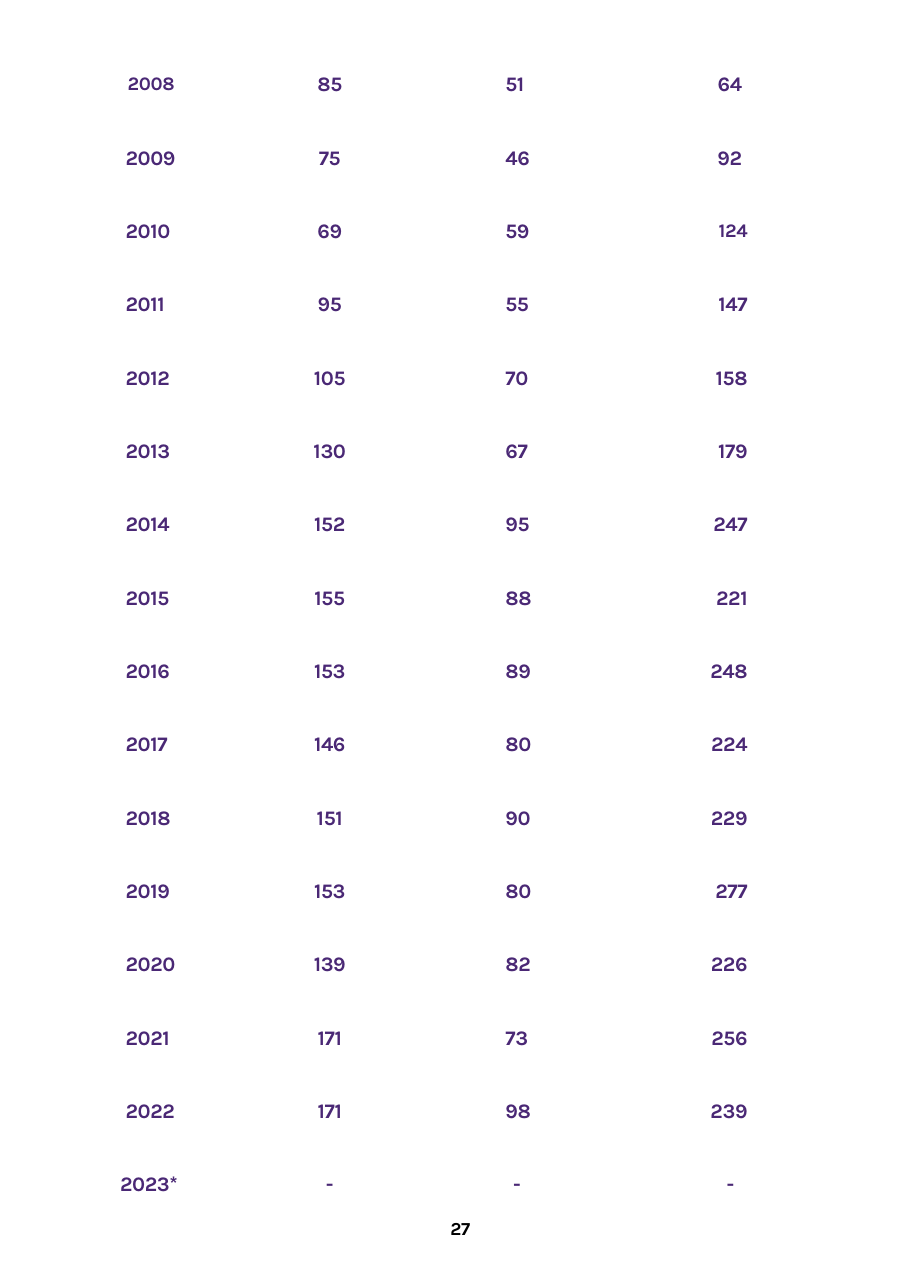
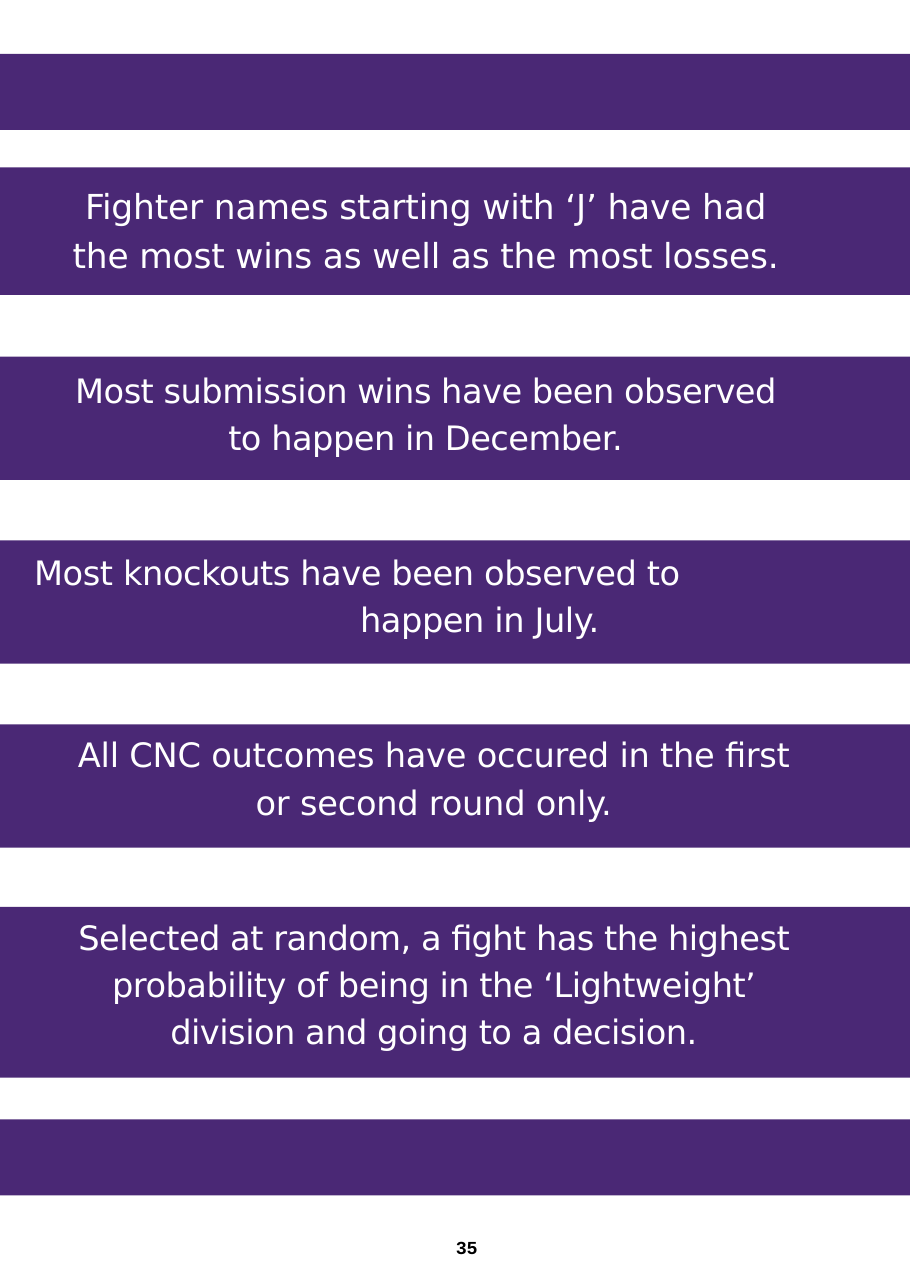
from dataclasses import dataclass
from typing import Any

from pptx import Presentation
from pptx.dml.color import RGBColor
from pptx.enum.shapes import MSO_SHAPE
from pptx.enum.text import MSO_ANCHOR, MSO_AUTO_SIZE, PP_ALIGN
from pptx.oxml.ns import qn
from pptx.util import Inches, Pt

RECTANGLE = MSO_SHAPE.RECTANGLE
TOP = MSO_ANCHOR.TOP
NO_AUTO_SIZE = MSO_AUTO_SIZE.NONE
LEFT, CENTER, RIGHT = PP_ALIGN.LEFT, PP_ALIGN.CENTER, PP_ALIGN.RIGHT

PURPLE = RGBColor(0x4A, 0x28, 0x75)
WHITE = RGBColor(0xFF, 0xFF, 0xFF)
BLACK = RGBColor(0x00, 0x00, 0x00)

PAGE_FORMAT = {"slide_width": Pt(595), "slide_height": Pt(842.5)}
CONTENT_LAYOUT, BLANK_LAYOUT = 1, 6
TABLE_FONT, STATEMENT_FONT, NUMBER_FONT = "Karla", "DejaVu Sans", "Courier New"

FRAME_FORMAT = {
    "margin_left": 0, "margin_right": 0, "margin_top": 0, "margin_bottom": 0,
    "vertical_anchor": TOP, "word_wrap": True, "auto_size": NO_AUTO_SIZE,
}


@dataclass(frozen=True)
class TextStyle:
    font: str
    size: float
    color: RGBColor
    bold: bool = False
    spacing: float = -0.2


@dataclass(frozen=True)
class Column:
    width: float
    align: PP_ALIGN = LEFT
    left_indent: float = 0
    right_indent: float = 0


@dataclass(frozen=True)
class Band:
    top: float
    height: float


@dataclass(frozen=True)
class Statement:
    text: str
    left_indent: float
    right_indent: float
    spacing: float
    align: PP_ALIGN = CENTER
    first_line: float = 0
    size: float = 22


VALUE_STYLE = TextStyle(TABLE_FONT, 13.5, PURPLE, bold=True)
SMALL_VALUE_STYLE = TextStyle(TABLE_FONT, 12.5, PURPLE, bold=True)
TABLE_NUMBER_STYLE = TextStyle(TABLE_FONT, 12, BLACK, bold=True)
PAGE_NUMBER_STYLE = TextStyle(NUMBER_FONT, 12, BLACK, bold=True)

TABLE_LEFT, TABLE_TOP, TABLE_HEIGHT = 1.06, 0.66, 10.68
FIRST_ROW_HEIGHT, LAST_ROW_HEIGHT = 0.46, 0.89
CELL_TOP_MARGIN = 0.21
COLUMNS = [
    Column(1.17, left_indent=0.08),
    Column(1.4, CENTER, left_indent=0.13),
    Column(0.81, left_indent=0.46),
    Column(1.19, left_indent=0.15),
    Column(1.19, RIGHT, right_indent=0.03),
]
YEAR_ROWS = [
    ("2008", "85", "", "51", "64"),
    ("2009", "75", "", "46", "92"),
    ("2010", "69", "", "59", "124"),
    ("2011", "95", "", "55", "147"),
    ("2012", "105", "", "70", "158"),
    ("2013", "130", "", "67", "179"),
    ("2014", "152", "", "95", "247"),
    ("2015", "155", "", "88", "221"),
    ("2016", "153", "", "89", "248"),
    ("2017", "146", "", "80", "224"),
    ("2018", "151", "", "90", "229"),
    ("2019", "153", "", "80", "277"),
    ("2020", "139", "", "82", "226"),
    ("2021", "171", "", "73", "256"),
    ("2022", "171", "", "98", "239"),
    ("2023*", "-", "27", "-", "-"),
]
PAGE_NUMBER_CELL = (15, 2)
CELL_STYLES = {(0, 0): SMALL_VALUE_STYLE, (2, 4): SMALL_VALUE_STYLE,
               PAGE_NUMBER_CELL: TABLE_NUMBER_STYLE}
TOP_MARGINS = {PAGE_NUMBER_CELL: 0.63}
LEFT_INDENTS = {(0, 0): 0.1, (15, 0): 0.03, (15, 3): 0.22}
RIGHT_INDENTS = {(0, 4): 0.08, (1, 4): 0.08, (15, 4): 0.15}

BAND_WIDTH = 8.27
BANDS = [
    Band(0.49, 0.69),
    Band(1.52, 1.16),
    Band(3.24, 1.12),
    Band(4.91, 1.12),
    Band(6.58, 1.12),
    Band(8.24, 1.55),
    Band(10.17, 0.69),
]
STATEMENT_GAP = 57.5
STATEMENTS = [
    Statement("Fighter names starting with ‘J’ have had the most wins as well "
              "as the most losses.", 0.21, 0.22, -0.15, size=22.5),
    Statement("Most submission wins have been observed to happen in December.",
              0.24, 0.25, -0.3),
    Statement("Most knockouts have been observed to happen in July.",
              2.97, 1.0, -0.25, LEFT, first_line=-2.96),
    Statement("All CNC outcomes have occured in the first or second round only.",
              0.28, 0.14, -0.15),
    Statement("Selected at random, a fight has the highest probability of being "
              "in the ‘Lightweight’ division and going to a decision.",
              0.15, 0.01, -0.3),
]


def apply_format(target: Any, values: dict[str, Any]) -> None:
    for name, value in values.items():
        setattr(target, name, value)


def set_indents(paragraph: Any, left: float, right: float, first_line: float = 0) -> None:
    properties = paragraph._p.get_or_add_pPr()
    for name, length in (("marL", left), ("marR", right), ("indent", first_line)):
        properties.set(name, str(int(Inches(length))))


def remove_bullet(paragraph: Any) -> None:
    properties = paragraph._p.get_or_add_pPr()
    properties.append(properties.makeelement(qn("a:buNone"), {}))


def add_text(paragraph: Any, text: str, style: TextStyle) -> None:
    run = paragraph.add_run()
    run.text = text
    apply_format(run.font, {"name": style.font, "size": Pt(style.size), "bold": style.bold})
    run.font.color.rgb = style.color
    run.font._element.set("spc", str(round(style.spacing * 100)))


def add_page_number(slide: Any, number: str) -> None:
    box = slide.shapes.add_textbox(Inches(4.02), Inches(11.01), Inches(0.37), Inches(0.45))
    apply_format(box.text_frame, FRAME_FORMAT | {"margin_top": Inches(0.22)})
    paragraph = box.text_frame.paragraphs[0]
    set_indents(paragraph, 0.12, 0)
    add_text(paragraph, number, PAGE_NUMBER_STYLE)


def fill_cell(cell: Any, text: str, position: tuple[int, int]) -> None:
    row, column_index = position
    column = COLUMNS[column_index]
    top_margin = TOP_MARGINS.get(position, CELL_TOP_MARGIN if row else 0)
    cell.fill.background()
    apply_format(cell, {
        "margin_left": 0, "margin_right": 0, "margin_bottom": 0,
        "margin_top": Inches(top_margin), "vertical_anchor": TOP,
    })
    if not text:
        return
    paragraph = cell.text_frame.paragraphs[0]
    paragraph.alignment = column.align
    set_indents(paragraph, LEFT_INDENTS.get(position, column.left_indent),
                RIGHT_INDENTS.get(position, column.right_indent))
    add_text(paragraph, text, CELL_STYLES.get(position, VALUE_STYLE))


def add_year_table(slide: Any) -> None:
    inner_count = len(YEAR_ROWS) - 2
    inner_height = (TABLE_HEIGHT - FIRST_ROW_HEIGHT - LAST_ROW_HEIGHT) / inner_count
    row_heights = [FIRST_ROW_HEIGHT] + [inner_height] * inner_count + [LAST_ROW_HEIGHT]
    table = slide.shapes.add_table(
        len(YEAR_ROWS), len(COLUMNS), Inches(TABLE_LEFT), Inches(TABLE_TOP),
        Inches(sum(column.width for column in COLUMNS)), Inches(TABLE_HEIGHT),
    ).table
    apply_format(table, {"first_row": False, "horz_banding": False})
    for table_column, column in zip(table.columns, COLUMNS):
        table_column.width = Inches(column.width)
    for row, (height, values) in enumerate(zip(row_heights, YEAR_ROWS)):
        table.rows[row].height = Inches(height)
        for column_index, text in enumerate(values):
            fill_cell(table.cell(row, column_index), text, (row, column_index))


def add_band(slide: Any, band: Band) -> None:
    shape = slide.shapes.add_shape(RECTANGLE, 0, Inches(band.top),
                                   Inches(BAND_WIDTH), Inches(band.height))
    shape.shadow.inherit = False
    shape.fill.solid()
    shape.fill.fore_color.rgb = PURPLE
    shape.line.fill.background()


def fill_statements(body: Any) -> None:
    """Place the body in front of the bands, one paragraph to each band."""
    body.element.getparent().append(body.element)
    apply_format(body, {"left": Inches(0.3), "top": Inches(1.62),
                        "width": Inches(7.14), "height": Inches(8.03)})
    frame = body.text_frame
    apply_format(frame, FRAME_FORMAT)
    for index, statement in enumerate(STATEMENTS):
        paragraph = frame.add_paragraph() if index else frame.paragraphs[0]
        apply_format(paragraph, {
            "alignment": statement.align, "line_spacing": 1.17,
            "space_before": Pt(STATEMENT_GAP if index else 0), "space_after": Pt(0),
        })
        set_indents(paragraph, statement.left_indent, statement.right_indent,
                    statement.first_line)
        remove_bullet(paragraph)
        add_text(paragraph, statement.text,
                 TextStyle(STATEMENT_FONT, statement.size, WHITE, spacing=statement.spacing))


def build_table_slide(presentation: Any) -> None:
    slide = presentation.slides.add_slide(presentation.slide_layouts[BLANK_LAYOUT])
    add_year_table(slide)


def build_statement_slide(presentation: Any) -> None:
    slide = presentation.slides.add_slide(presentation.slide_layouts[CONTENT_LAYOUT])
    title = slide.shapes.title
    title.element.getparent().remove(title.element)
    for band in BANDS:
        add_band(slide, band)
    fill_statements(slide.placeholders[1])
    add_page_number(slide, "35")


def main() -> None:
    presentation = Presentation()
    apply_format(presentation, PAGE_FORMAT)
    build_table_slide(presentation)
    build_statement_slide(presentation)
    presentation.save("out.pptx")


if __name__ == "__main__":
    main()
